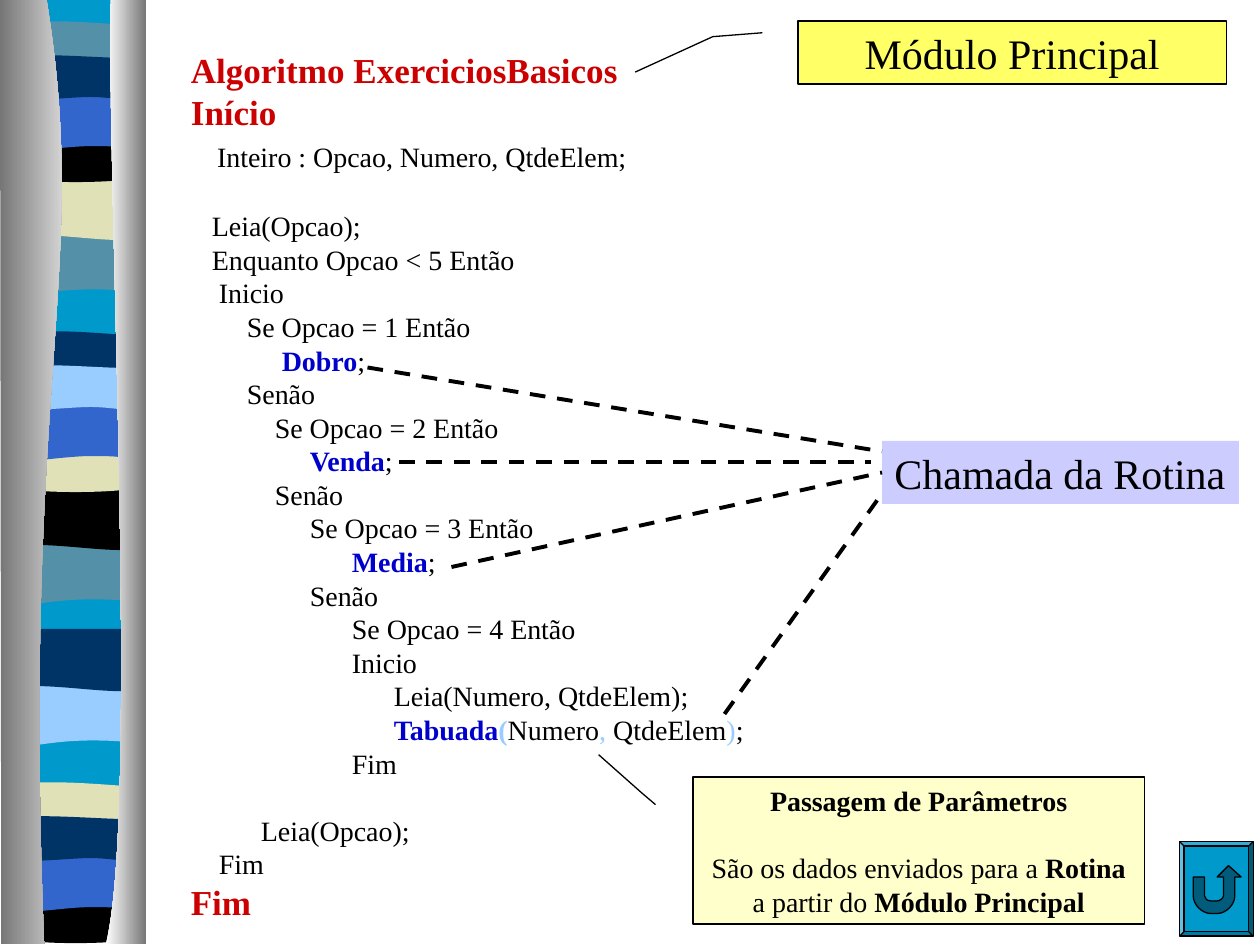
from pptx import Presentation, util as u
from pptx.dml.color import RGBColor
from pptx.enum import dml, shapes, text
from pptx.oxml.ns import qn
from lxml import etree

BLACK, WHITE = RGBColor(0, 0, 0), RGBColor(255, 255, 255)
RED, BLUE = RGBColor(0xCC, 0, 0), RGBColor(0, 0, 0xCC)
SKY, TEAL = RGBColor(0x99, 0xCC, 0xFF), RGBColor(0x54, 0x90, 0xA8)
CYAN, DEEP = RGBColor(0, 0x99, 0xCC), RGBColor(0, 0x5C, 0x7A)
NAVY, ROYAL = RGBColor(0, 0x33, 0x66), RGBColor(0x33, 0x66, 0xCC)
SAND, LILAC = RGBColor(0xE1, 0xE1, 0xB7), RGBColor(0xCC, 0xCC, 0xFF)
YELLOW, CREAM = RGBColor(0xFF, 0xFF, 0x66), RGBColor(0xFF, 0xFF, 0xCC)
GREY = RGBColor(0x76, 0x76, 0x76)

# Ribbon waves: a point has two numbers, a Bézier curve six (thousandths of the width)
WAVES = {
    "tilt": [(114, 185), (114, 232), (39, 224, 24, 240, 6, 232), (6, 185)],
    "sag": [(114, 141), (114, 188), (96, 196, 39, 182, 6, 188), (6, 141)],
    "thin": [(114, 21), (114, 45), (96, 49, 24, 49, 6, 45), (6, 21),
             (12, 16, 29, 17, 47, 17), (65, 17, 100, 20, 114, 21)],
    "bowl": [(114, 108), (114, 140), (96, 146, 24, 146, 6, 140), (6, 108),
             (72, 113, 91, 108, 114, 108)],
    "arch": [(114, 74), (114, 121), (97, 116, 90, 116, 72, 116),
             (54, 116, 22, 121, 6, 121), (6, 74)],
    "double": [(114, 46), (114, 77), (107, 82, 90, 77, 72, 77),
               (54, 77, 17, 82, 6, 77), (6, 46), (21, 41, 79, 46, 97, 46),
               (115, 46, 110, 46, 114, 46)],
}
# Each repeat of the ribbon: its drop and the colours of its waves
RIBBON = [
    (0, dict(tilt=TEAL, sag=SAND, thin=TEAL, bowl=BLACK, arch=ROYAL, double=NAVY)),
    (246, dict(tilt=TEAL, sag=BLACK, thin=NAVY, bowl=SAND, arch=ROYAL, double=SKY)),
    (358, dict(tilt=SKY, sag=NAVY)),
    (604, dict(thin=SAND, bowl=BLACK, arch=ROYAL, double=NAVY)),
]
BACKING = [(114, 0), (114, 747), (6, 747), (6, 0)]
LEFT_PILLAR = [(37, 0), (72, 216, 17, 296, 35, 749), (1, 749), (0, 0)]
RIGHT_PILLAR = [(88, 0), (84, 125, 111, 646, 84, 749), (116, 749), (116, 0)]
RETURN_ARROW = [(947, 696), (956, 696), (956, 711), (956, 713, 958, 715, 961, 715),
                (966, 715), (968, 715, 971, 713, 971, 711), (971, 696), (966, 696),
                (975, 687), (985, 696), (980, 696), (980, 711),
                (980, 718, 973, 725, 966, 725), (961, 725),
                (954, 725, 947, 718, 947, 711)]


def call(name):
    return [(name, dict(bold=True, color=BLUE)), ";"]


TITLE = dict(size=20, bold=True, color=RED)
# Algorithm lines: indent in points, spans, paragraph format
CODE = [
    (0, [("Algoritmo ExerciciosBasicos", TITLE)], {}),
    (0, [("Início", TITLE)], {}),
    (15, ["Inteiro : Opcao, Numero, QtdeElem;"], dict(before=4.2)),
    (12, ["Leia(Opcao);"], dict(before=20.3)),
    (12, ["Enquanto Opcao < 5 Então"], {}),
    (16, ["Inicio"], {}),
    (32, ["Se Opcao = 1 Então"], {}),
    (52, call("Dobro"), {}),
    (32, ["Senão"], {}),
    (48, ["Se Opcao = 2 Então"], {}),
    (68, call("Venda"), {}),
    (48, ["Senão"], {}),
    (68, ["Se Opcao = 3 Então"], {}),
    (92, call("Media"), {}),
    (68, ["Senão"], {}),
    (92, ["Se Opcao = 4 Então"], {}),
    (92, ["Inicio"], {}),
    (116, ["Leia(Numero, QtdeElem);"], {}),
    (116, [("Tabuada", dict(bold=True, color=BLUE)), ("(", dict(bold=True, color=SKY)),
           "Numero", (", ", dict(color=SKY)), "QtdeElem", (")", dict(color=SKY)), ";"], {}),
    (92, ["Fim"], {}),
    (40, ["Leia(Opcao);"], dict(before=19.2)),
    (16, ["Fim"], {}),
    (0, [("Fim", TITLE)], {}),
]


def add_span(para, words, size=16, bold=False, color=BLACK, font="Times New Roman"):
    span = para.add_run()
    span.text = words
    span.font.name, span.font.size = font, u.Pt(size)
    span.font.bold, span.font.color.rgb = bold, color


class Board:
    """Holds the slide, on a grid of 120 columns by 90 rows."""

    def __init__(self, deck):
        self.cell = deck.slide_width // 120
        self.mill = deck.slide_width // 1000
        self.items = deck.slides.add_slide(deck.slide_layouts[6]).shapes

    def grid(self, *lengths):
        return [round(length * self.cell) for length in lengths]

    def outline(self, steps, fill, drop=0, line=None):
        steps = [[(x * self.mill, (y + drop) * self.mill)
                  for x, y in zip(step[::2], step[1::2])] for step in steps]
        points = [point for step in steps for point in step]
        builder = self.items.build_freeform(*points[0], scale=1.0)
        builder.add_line_segments(points[1:], close=True)
        shape = builder.convert_to_shape()
        # Redraw the path with true curves inside the same frame
        track = next(shape._element.iter(qn("a:path")))
        for child in list(track):
            track.remove(child)
        for i, step in enumerate(steps):
            kind = "a:moveTo" if i == 0 else "a:lnTo" if len(step) == 1 else "a:cubicBezTo"
            move = etree.SubElement(track, qn(kind))
            for x, y in step:
                etree.SubElement(move, qn("a:pt"), x=str(x - shape.left), y=str(y - shape.top))
        etree.SubElement(track, qn("a:close"))
        self.paint(shape, fill, line)

    def paint(self, shape, fill, line=None):
        shape.shadow.inherit = False
        if isinstance(fill, list):
            shape.fill.gradient()
            shape.fill.gradient_angle = 0
            for stop, color in zip(shape.fill.gradient_stops, fill):
                stop.color.rgb = color
        else:
            shape.fill.solid()
            shape.fill.fore_color.rgb = fill
        if line is None:
            shape.line.fill.background()
        else:
            shape.line.color.rgb, shape.line.width = line, u.Pt(0.75)

    def shape(self, kind, place, fill, line=None, adjust=()):
        shape = self.items.add_shape(kind, *self.grid(*place))
        for i, value in enumerate(adjust):
            shape.adjustments[i] = value
        self.paint(shape, fill, line)
        return shape

    def words(self, shape, lines, align=text.PP_ALIGN.LEFT, wrap=True):
        frame = shape.text_frame
        frame.word_wrap, frame.vertical_anchor = wrap, text.MSO_ANCHOR.TOP
        for i, (indent, spans, style) in enumerate(lines):
            para = frame.add_paragraph() if i else frame.paragraphs[0]
            para.alignment = align
            para.space_before = u.Pt(style.get("before", 0))
            if indent:
                para._p.get_or_add_pPr().set("marL", str(u.Pt(indent)))
            for span in spans:
                words, look = (span, {}) if isinstance(span, str) else span
                add_span(para, words, **look)

    def text_box(self, place, lines):
        self.words(self.items.add_textbox(*self.grid(*place)), lines)

    def dashed(self, *ends):
        line = self.items.add_connector(shapes.MSO_CONNECTOR.STRAIGHT, *self.grid(*ends))
        line.line.color.rgb, line.line.width = BLACK, u.Pt(2.25)
        line.line.dash_style = dml.MSO_LINE.DASH
        etree.SubElement(line._element.spPr, qn("a:effectLst"))


def main():
    deck = Presentation()
    deck.slide_width, deck.slide_height = u.Inches(10), u.Inches(7.5)
    board = Board(deck)
    center, kinds = text.PP_ALIGN.CENTER, shapes.MSO_SHAPE

    # Ribbon between two pillars
    board.outline(BACKING, CYAN)
    for drop, colors in RIBBON:
        for wave, color in colors.items():
            board.outline(WAVES[wave], color, drop)
    board.outline(LEFT_PILLAR, [GREY, WHITE])
    board.outline(RIGHT_PILLAR, [WHITE, GREY])

    # Algorithm
    board.text_box((17, 4, 81, 84.4), CODE)

    # Return button
    board.shape(kinds.BEVEL, (112.35, 80.15, 7, 9), CYAN, BLACK, [0.06])
    board.outline(RETURN_ARROW, DEEP, line=BLACK)

    # Labels and the calls they point to
    module = board.shape(kinds.LINE_CALLOUT_2, (76, 2, 40.8, 6), YELLOW, BLACK,
                         [0.188, -0.083, 0.25, -0.199, 0.812, -0.38])
    board.words(module, [(0, [("Módulo Principal", dict(size=24))], {})], center)
    routine = board.shape(kinds.RECTANGLE, (84, 42, 34, 6), LILAC)
    board.words(routine, [(0, [("Chamada da Rotina", dict(size=24))], {})], wrap=False)
    for ends in ((35, 35, 84, 43), (38, 44, 83, 44), (43, 54, 84, 45), (69, 68, 84, 47)):
        board.dashed(*ends)

    # Parameter note
    strong = dict(bold=True)
    note = board.shape(kinds.LINE_CALLOUT_2, (66, 74, 43, 14), CREAM, BLACK,
                       [0.188, -0.083, 0.107, -0.114, -0.152, -0.209])
    board.words(note, [
        (0, [("Passagem de Parâmetros", strong)], {}),
        (0, ["São os dados enviados para a ", ("Rotina", strong), " a partir do ",
             ("Módulo Principal", strong)], dict(before=19.4)),
    ], center)
    deck.save("out.pptx")


if __name__ == "__main__":
    main()
